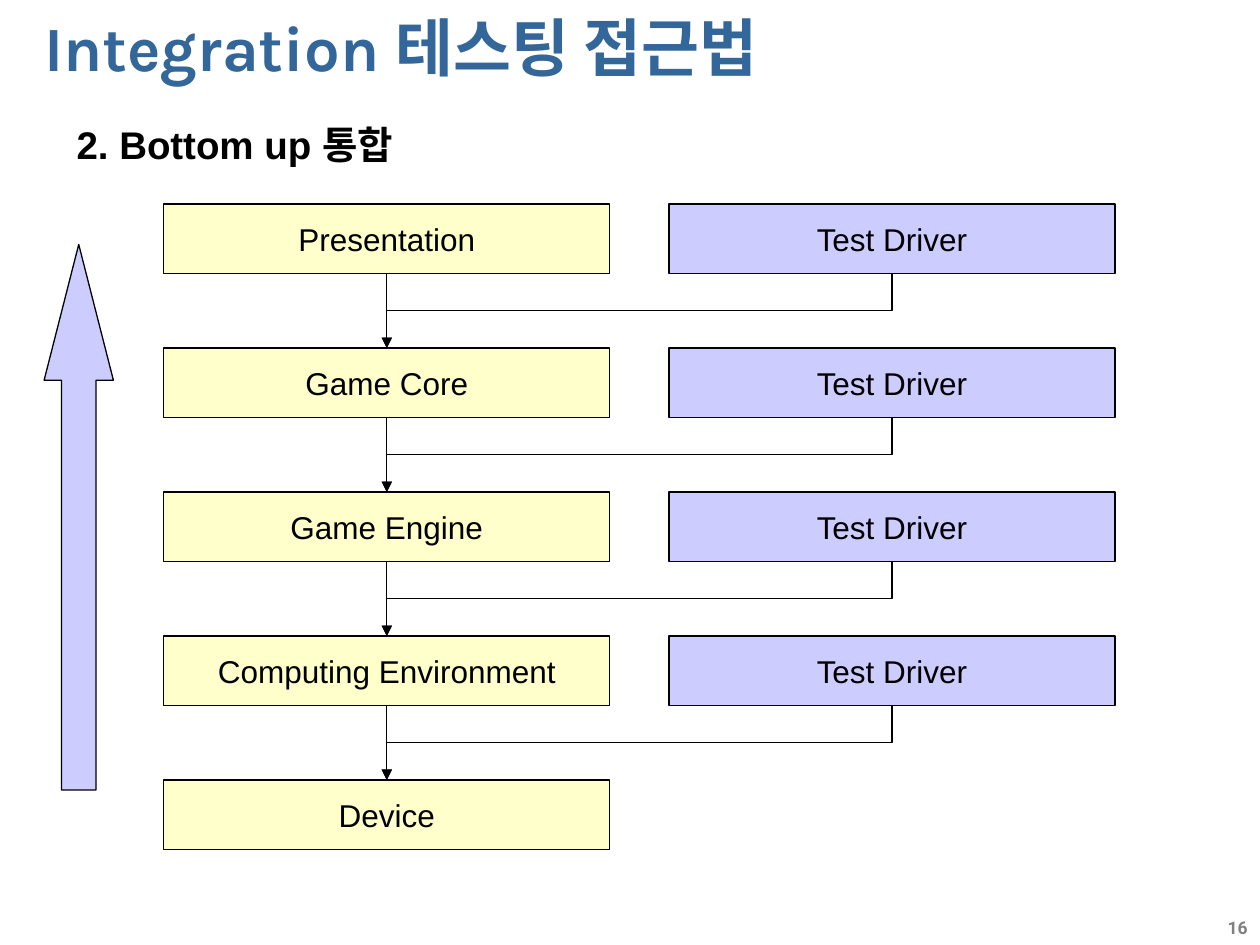
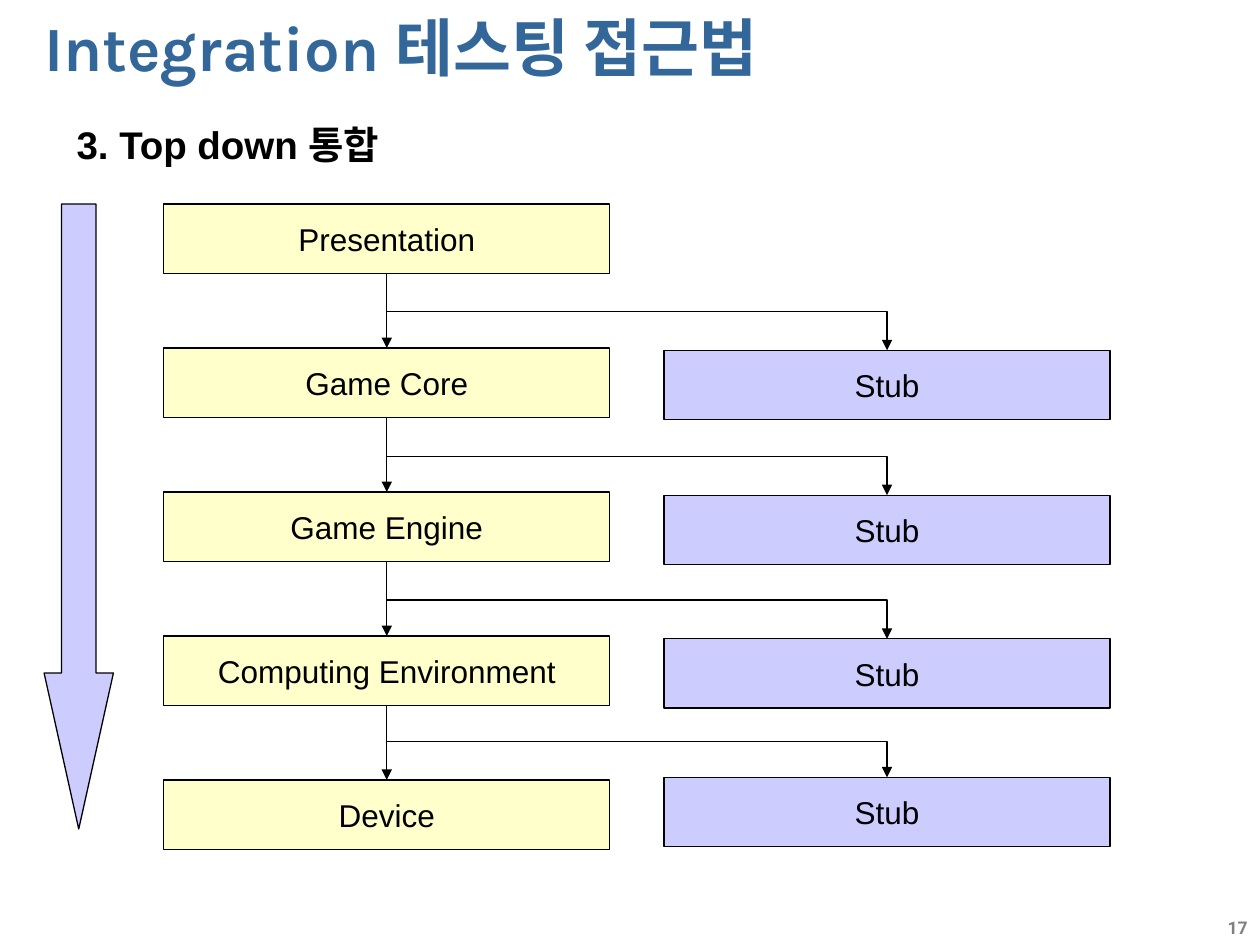
from dataclasses import dataclass

from lxml.etree import SubElement
from pptx import Presentation
from pptx.dml.color import RGBColor
from pptx.enum.shapes import MSO_CONNECTOR as Link, MSO_SHAPE as Shape
from pptx.enum.text import MSO_ANCHOR as Anchor, MSO_AUTO_SIZE as AutoSize, PP_ALIGN as Align
from pptx.oxml.ns import qn
from pptx.util import Inches, Pt


@dataclass(frozen=True)
class Theme:
    heading: RGBColor = RGBColor(0x33, 0x66, 0x99)
    ink: RGBColor = RGBColor(0, 0, 0)
    muted: RGBColor = RGBColor(0x80, 0x80, 0x80)
    layer: RGBColor = RGBColor(0xFF, 0xFF, 0xCC)
    helper: RGBColor = RGBColor(0xCC, 0xCC, 0xFF)
    heading_font: str = "Karla"
    body_font: str = "Arial"
    number_font: str = "Roboto"
    heading_size: int = 36
    subtitle_size: int = 22
    box_size: int = 18
    number_size: int = 10
    line_width: float = 0.75


THEME = Theme()
TITLE_ONLY = 5
TOP, LEFT, BOTTOM, RIGHT = range(4)

TITLE = "Integration 테스팅 접근법"
LAYERS = ["Presentation", "Game Core", "Game Engine", "Computing Environment", "Device"]
LAYER_LEFT = 1.3
FIRST_TOP, LAST_TOP = 1.62, 6.19
LAYER_STEP = (LAST_TOP - FIRST_TOP) / (len(LAYERS) - 1)
LAYER_TOPS = [FIRST_TOP + LAYER_STEP * row for row in range(len(LAYERS))]
STUB_TOPS = [2.78, 3.93, 5.07, 6.17]
BOX_WIDTH, BOX_HEIGHT = 3.54, 0.55


def write(frame, text, *, size, font=THEME.body_font, color=THEME.ink, bold=False,
          align=Align.LEFT, anchor=Anchor.TOP, wrap=True):
    frame.word_wrap = wrap
    frame.auto_size = AutoSize.NONE
    frame.vertical_anchor = anchor
    paragraph = frame.paragraphs[0]
    paragraph.alignment = align
    run = paragraph.add_run()
    run.text = text
    run.font.name = font
    run.font.size = Pt(size)
    run.font.bold = bold
    run.font.color.rgb = color


def add_text(slide, text, left, top, width, height, **text_format):
    box = slide.shapes.add_textbox(Inches(left), Inches(top), Inches(width), Inches(height))
    write(box.text_frame, text, **text_format)


def add_outlined(slide, preset, left, top, width, height, fill):
    shape = slide.shapes.add_shape(
        preset, Inches(left), Inches(top), Inches(width), Inches(height))
    shape.shadow.inherit = False
    shape.fill.solid()
    shape.fill.fore_color.rgb = fill
    shape.line.color.rgb = THEME.ink
    shape.line.width = Pt(THEME.line_width)
    return shape


def add_box(slide, label, left, top, fill):
    box = add_outlined(slide, Shape.RECTANGLE, left, top, BOX_WIDTH, BOX_HEIGHT, fill)
    write(box.text_frame, label, size=THEME.box_size, align=Align.CENTER,
          anchor=Anchor.MIDDLE, wrap=False)
    return box


def add_arrow(slide, kind, upper, lower):
    """Draw an arrow from the bottom of one box to the top of another."""
    arrow = slide.shapes.add_connector(kind, 0, 0, 0, 0)
    arrow.begin_connect(upper, BOTTOM)
    arrow.end_connect(lower, TOP)
    arrow.line.color.rgb = THEME.ink
    arrow.line.width = Pt(THEME.line_width)
    properties = arrow._element.spPr
    SubElement(properties.find(qn("a:ln")), qn("a:tailEnd"), type="triangle")
    SubElement(properties, qn("a:effectLst"))
    return arrow


def add_elbow(slide, upper, lower):
    """Draw a bent arrow that leaves and arrives vertically."""
    arrow = add_arrow(slide, Link.ELBOW, upper, lower)
    start_x, end_x = (box.left + box.width // 2 for box in (upper, lower))
    start_y, end_y = upper.top + upper.height, lower.top
    span, drop = abs(end_x - start_x), end_y - start_y
    # The preset bends horizontally first, so its frame is turned by a quarter.
    arrow.left = (start_x + end_x - drop) // 2
    arrow.top = (start_y + end_y - span) // 2
    arrow.width, arrow.height = drop, span
    rightward = end_x > start_x
    frame = arrow._element.spPr.find(qn("a:xfrm"))
    frame.set("rot", str((270 if rightward else 90) * 60000))
    frame.set("flipH", "1" if rightward else "0")
    frame.set("flipV", "0")


def add_direction(slide, preset, top, height, head_ratio):
    arrow = add_outlined(slide, preset, 0.35, top, 0.55, height, THEME.helper)
    arrow.adjustments[0] = 0.5
    arrow.adjustments[1] = head_ratio


def add_base_slide(deck, subtitle, number):
    slide = deck.slides.add_slide(deck.slide_layouts[TITLE_ONLY])
    title = slide.shapes.title
    title.left, title.top = Inches(0.25), Inches(0.08)
    title.width, title.height = Inches(8.58), Inches(0.58)
    write(title.text_frame, TITLE, size=THEME.heading_size, font=THEME.heading_font,
          color=THEME.heading, bold=True, anchor=Anchor.MIDDLE)
    add_text(slide, subtitle, 0.51, 0.91, 5.28, 0.47, size=THEME.subtitle_size, bold=True)
    add_text(slide, str(number), 7.67, 7.23, 2.33, 0.15, size=THEME.number_size,
             font=THEME.number_font, color=THEME.muted, bold=True, align=Align.RIGHT)
    return slide


def add_layers(slide):
    layers = [add_box(slide, name, LAYER_LEFT, top, THEME.layer)
              for name, top in zip(LAYERS, LAYER_TOPS)]
    for upper, lower in zip(layers, layers[1:]):
        add_arrow(slide, Link.STRAIGHT, upper, lower)
    return layers


def add_bottom_up(deck):
    slide = add_base_slide(deck, "2. Bottom up 통합", 16)
    layers = add_layers(slide)
    add_direction(slide, Shape.UP_ARROW, 1.94, 4.33, 1.96)
    for top, tested_layer in zip(LAYER_TOPS, layers[1:]):
        driver = add_box(slide, "Test Driver", 5.31, top, THEME.helper)
        add_elbow(slide, driver, tested_layer)


def add_top_down(deck):
    slide = add_base_slide(deck, "3. Top down 통합", 17)
    layers = add_layers(slide)
    add_direction(slide, Shape.DOWN_ARROW, 1.62, 4.96, 2.25)
    for top, calling_layer in zip(STUB_TOPS, layers):
        stub = add_box(slide, "Stub", 5.27, top, THEME.helper)
        add_elbow(slide, calling_layer, stub)


def main():
    deck = Presentation()
    deck.slide_width, deck.slide_height = Inches(10), Inches(7.5)
    add_bottom_up(deck)
    add_top_down(deck)
    deck.save("out.pptx")


if __name__ == "__main__":
    main()
